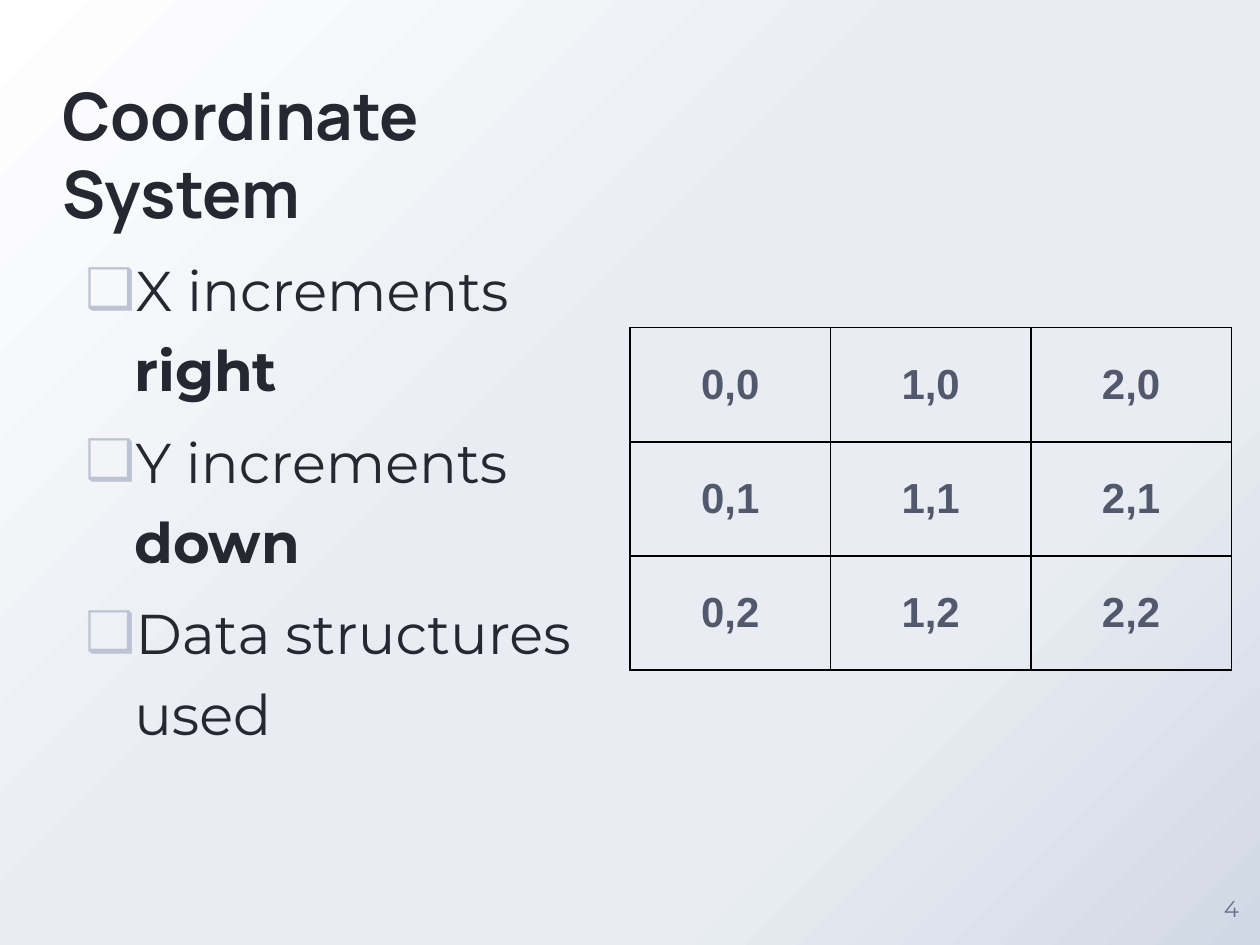
from lxml import etree
from pptx import Presentation
from pptx import util as u
from pptx.dml.color import RGBColor
from pptx.enum import text
from pptx.oxml import ns

COLORS = {
    "white": "FFFFFF", "mist": "E9EDF3", "steel": "D0D8E5", "ink": "252831",
    "bullet": "BDC3D3", "number": "68728D", "cell": "53596D", "border": "000000",
}


def add_text_box(left, top, width, height, anchor):
    shape = slide.shapes.add_textbox(u.Inches(left), u.Inches(top), u.Inches(width), u.Inches(height))
    frame = shape.text_frame
    frame.word_wrap = True
    frame.vertical_anchor = anchor
    frame.margin_left = frame.margin_top = frame.margin_right = frame.margin_bottom = 0
    return frame


def add_run(paragraph, content, font, size, color, bold=False):
    run = paragraph.add_run()
    run.text = content
    run.font.name = font
    run.font.size = u.Pt(size)
    run.font.bold = bold
    run.font.color.rgb = RGBColor.from_string(COLORS[color])


presentation = Presentation()
presentation.slide_width = u.Inches(7.5)
presentation.slide_height = u.Inches(7.5 * 3 / 4)
slide = presentation.slides.add_slide(presentation.slide_layouts[6])

background = slide.background.fill
background.gradient()
background.gradient_angle = 315
stops = slide.element.find(".//" + ns.qn("a:gsLst"))
for stop in list(stops):
    stops.remove(stop)
for percent, color in [(0, "white"), (44, "mist"), (72, "mist"), (100, "steel")]:
    stop = etree.SubElement(stops, ns.qn("a:gs"), pos=str(percent * 1000))
    etree.SubElement(stop, ns.qn("a:srgbClr"), val=COLORS[color])

title = add_text_box(0.37, 0.44, 3.21, 0.94, text.MSO_ANCHOR.BOTTOM)
add_run(title.paragraphs[0], "Coordinate System", "Manrope", 28, "ink", True)

body = add_text_box(0.42, 1.44, 3.03, 3.56, text.MSO_ANCHOR.TOP)
points = [("X increments ", "right"), ("Y increments ", "down"), ("Data structures used", "")]
for index, (lead, emphasis) in enumerate(points):
    paragraph = body.add_paragraph() if index else body.paragraphs[0]
    paragraph.line_spacing = 1.2
    paragraph.space_before = u.Pt(4.5)
    properties = paragraph._p.get_or_add_pPr()
    properties.set("marL", str(u.Inches(0.38)))
    properties.set("indent", str(u.Inches(-0.29)))
    bullet_color = etree.SubElement(properties, ns.qn("a:buClr"))
    etree.SubElement(bullet_color, ns.qn("a:srgbClr"), val=COLORS["bullet"])
    etree.SubElement(properties, ns.qn("a:buFont"), typeface="Arial")
    etree.SubElement(properties, ns.qn("a:buChar"), char="❑")
    add_run(paragraph, lead, "Montserrat", 24, "ink")
    if emphasis:
        add_run(paragraph, emphasis, "Montserrat", 24, "ink", True)

page_number = add_text_box(7.16, 5.18, 0.34, 0.45, text.MSO_ANCHOR.MIDDLE)
page_number.paragraphs[0].alignment = text.PP_ALIGN.CENTER
add_run(page_number.paragraphs[0], "4", "Montserrat", 9.8, "number")

grid = slide.shapes.add_table(
    3, 3, u.Inches(3.75), u.Inches(1.95), u.Inches(3.58), u.Inches(2.04)
).table
grid.first_row = False
grid.horz_banding = False
for y, row in enumerate(grid.rows):
    for x, cell in enumerate(row.cells):
        cell.vertical_anchor = text.MSO_ANCHOR.MIDDLE
        paragraph = cell.text_frame.paragraphs[0]
        paragraph.alignment = text.PP_ALIGN.CENTER
        add_run(paragraph, f"{x},{y}", "Arial", 18, "cell", True)
        properties = cell._tc.get_or_add_tcPr()
        for side in ("lnL", "lnR", "lnT", "lnB"):
            line = etree.SubElement(properties, ns.qn("a:" + side), w=str(u.Pt(0.75)))
            solid = etree.SubElement(line, ns.qn("a:solidFill"))
            etree.SubElement(solid, ns.qn("a:srgbClr"), val=COLORS["border"])
        cell.fill.background()

presentation.save("out.pptx")
